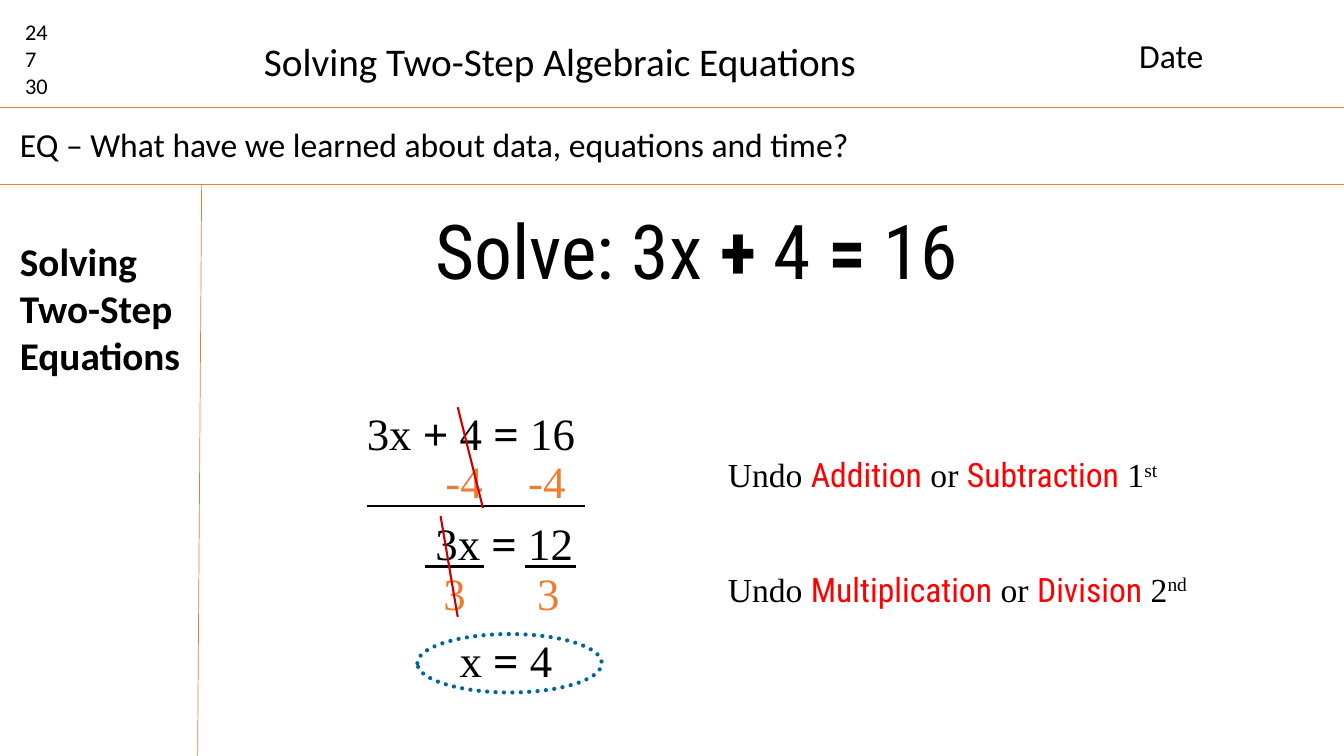
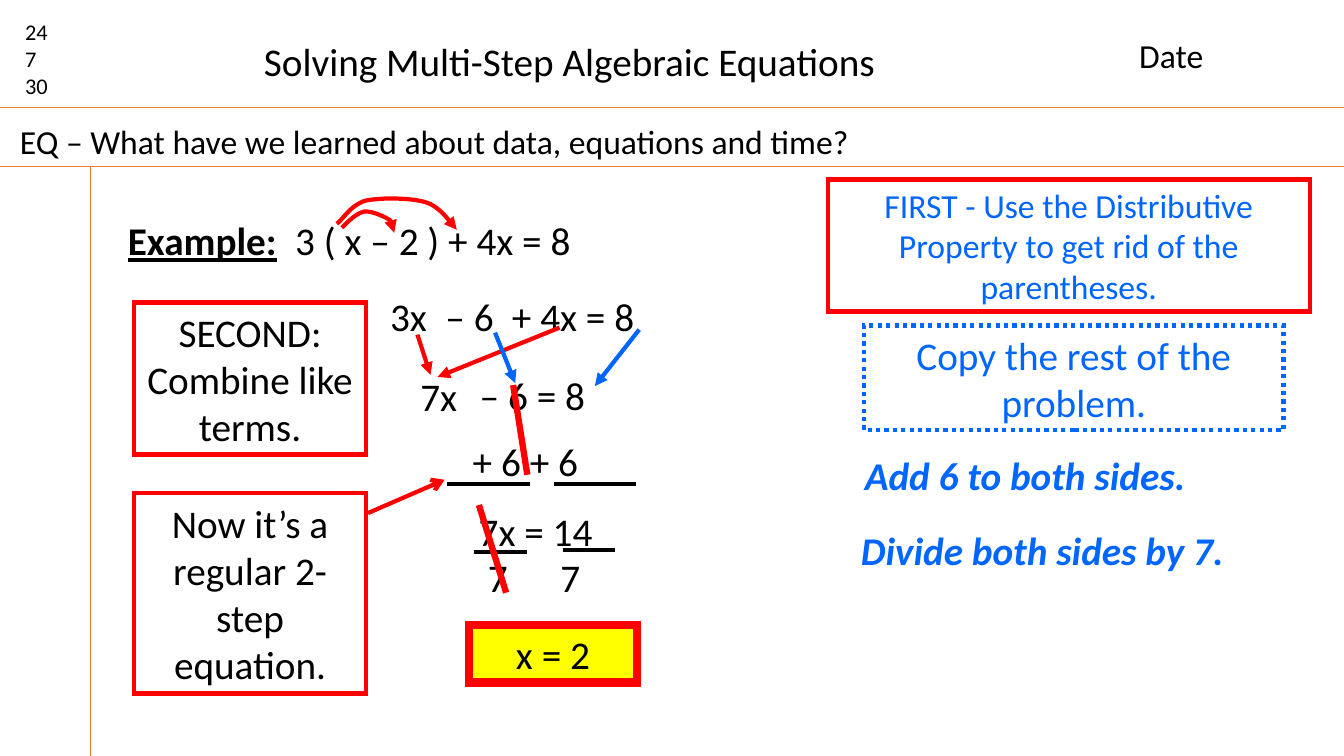
import dataclasses
import typing

import lxml.etree
import pptx
import pptx.dml.color
import pptx.enum.dml
import pptx.enum.shapes
import pptx.enum.text
import pptx.oxml.ns
import pptx.util


@dataclasses.dataclass(frozen=True)
class Theme:
    """Colours, fonts and type sizes of both slides."""
    black: str = "000000"
    orange: str = "ED7D31"
    red: str = "FF0000"
    dark_red: str = "CC0000"
    blue: str = "0066FF"
    teal: str = "006699"
    yellow: str = "FFFF00"
    body_font: str = "Calibri"
    display_font: str = "Roboto Condensed"
    math_font: str = "Times New Roman"
    small: int = 16
    medium: int = 24
    large: int = 28
    math: int = 32
    display: int = 54
    hairline: float = 0.5
    thin: float = 1.5
    thick: float = 3
    strike: float = 4.5
    heavy: float = 6


class Box(typing.NamedTuple):
    """A rectangle in inches."""
    left: float
    top: float
    width: float
    height: float

    def inner(self, left, top, width, height):
        """Return a box placed relative to this one."""
        return Box(self.left + left, self.top + top, width, height)

    def point(self, x, y):
        """Return a point placed relative to this box."""
        return pptx.util.Inches(self.left + x), pptx.util.Inches(self.top + y)

    def lengths(self):
        """Return the four lengths for a new shape."""
        return [pptx.util.Inches(value) for value in self]


THEME = Theme()
RULE = {"color": THEME.orange, "width": THEME.hairline}
BLACK_THIN = {"color": THEME.black, "width": THEME.thin}
BLACK_THICK = {"color": THEME.black, "width": THEME.thick}
CANCEL = {"color": THEME.dark_red, "width": THEME.thin}
STRIKE = {"color": THEME.red, "width": THEME.strike}
RED = {"color": THEME.red, "width": THEME.thick}
BLUE = {"color": THEME.blue, "width": THEME.thick}
RED_ARROW = {**RED, "arrow": "triangle"}
BLUE_ARROW = {**BLUE, "arrow": "triangle"}
MATH = {"name": THEME.math_font, "size": THEME.math}
HINT = {"color": THEME.blue, "bold": True, "italic": True}
CENTER = pptx.enum.text.PP_ALIGN.CENTER


def rgb(color):
    """Turn a hexadecimal colour into a pptx colour."""
    return pptx.dml.color.RGBColor.from_string(color)


def fill_text(shape, paragraphs, alignment=None, **style):
    """Write paragraphs, each a string or a list of (text, format) runs."""
    frame = shape.text_frame
    frame.word_wrap = True
    frame.auto_size = pptx.enum.text.MSO_AUTO_SIZE.SHAPE_TO_FIT_TEXT
    for index, content in enumerate(paragraphs):
        paragraph = frame.add_paragraph() if index else frame.paragraphs[0]
        paragraph.alignment = alignment
        for text, changes in [(content, {})] if isinstance(content, str) else content:
            values = {"name": THEME.body_font, "size": THEME.large, "color": THEME.black, **style, **changes}
            run = paragraph.add_run()
            run.text = text
            run.font.color.rgb = rgb(values.pop("color"))
            values["size"] = pptx.util.Pt(values["size"])
            if "baseline" in values:
                run._r.get_or_add_rPr().set("baseline", values.pop("baseline"))
            for name, value in values.items():
                setattr(run.font, name, value)


def add_text(slide, box, *paragraphs, **style):
    """Add a wrapping text box."""
    fill_text(slide.shapes.add_textbox(*box.lengths()), paragraphs, **style)


def set_line(shape, color, width, dash=None, arrow=None, cap=None, join=None):
    """Format an outline, connector or curve."""
    shape.line.color.rgb = rgb(color)
    shape.line.width = pptx.util.Pt(width)
    if dash:
        shape.line.dash_style = dash
    outline = shape.line._get_or_add_ln()
    if cap:
        outline.set("cap", cap)
    if join:
        lxml.etree.SubElement(outline, pptx.oxml.ns.qn("a:" + join))
    if arrow:
        lxml.etree.SubElement(outline, pptx.oxml.ns.qn("a:tailEnd"), type=arrow)


def add_line(slide, box, start, end, line):
    """Draw a straight line between two points of a box."""
    connector = slide.shapes.add_connector(
        pptx.enum.shapes.MSO_CONNECTOR.STRAIGHT, *box.point(*start), *box.point(*end))
    set_line(connector, **line)
    lxml.etree.SubElement(connector._element.spPr, pptx.oxml.ns.qn("a:effectLst"))


def add_outline(slide, box, kind, line, fill=None):
    """Draw a preset shape with an outline and an optional fill."""
    shape = slide.shapes.add_shape(kind, *box.lengths())
    shape.shadow.inherit = False
    if fill:
        shape.fill.solid()
        shape.fill.fore_color.rgb = rgb(fill)
    else:
        shape.fill.background()
    set_line(shape, **line)
    return shape


def add_callout(slide, box, text, line, fill=None, **style):
    """Draw a framed box with centred text."""
    frame = add_outline(slide, box, pptx.enum.shapes.MSO_SHAPE.RECTANGLE, {**line, "join": "miter"}, fill)
    fill_text(frame, [text], alignment=CENTER, **style)


def add_arc(slide, box, points, line, steps=12):
    """Draw a chain of cubic curves as one open outline."""
    track = []
    for first in range(0, len(points) - 1, 3):
        controls = points[first:first + 4]
        for step in range(1, steps + 1):
            t = step / steps
            weights = ((1 - t) ** 3, 3 * t * (1 - t) ** 2, 3 * t * t * (1 - t), t ** 3)
            track.append(box.point(*(sum(w * p[axis] for w, p in zip(weights, controls)) for axis in (0, 1))))
    builder = slide.shapes.build_freeform(*box.point(*points[0]))
    builder.add_line_segments(track, close=False)
    arc = builder.convert_to_shape()
    arc.shadow.inherit = False
    arc.fill.background()
    set_line(arc, **line)


def equation(text):
    """Split an equation into runs with bold operators."""
    runs = []
    for index, token in enumerate(text.split(" ")):
        if index:
            runs.append((" ", {}))
        runs.append((token, {"bold": token in "+="}))
    return runs


def header_band(slide, box, title):
    """Place the numbers, title and date over a rule."""
    add_line(slide, box, (0, box.height), (box.width, box.height), RULE)
    add_text(slide, box.inner(0.15, 0.13, 0.63, 0.91), "24", "7", "30", size=THEME.small)
    add_text(slide, box.inner(2.52, 0.32, 6.5, 0.57), title)
    add_text(slide, box.inner(11.2, 0.3, 1.73, 0.5), "Date", size=THEME.medium)


def question_band(slide, box):
    """Place the essential question over a rule."""
    add_line(slide, box, (0, box.height), (box.width, box.height), RULE)
    add_text(slide, box.inner(0.1, 0.14 * box.height, 11.6, 0.5),
             "EQ – What have we learned about data, equations and time?", size=THEME.medium)


def notes_frame(slide, title, question_height, margin_top, margin_bottom):
    """Place both bands and the margin rule, and return the margin box."""
    header = Box(0, 0, 13.33, 1.07)
    header_band(slide, header, title)
    question_band(slide, header.inner(0, header.height, header.width, question_height))
    top = header.height + question_height
    margin = Box(0, top, margin_top, 7.5 - top)
    add_line(slide, margin, (margin_top, 0), (margin_bottom, margin.height), RULE)
    return margin


def two_step_solution(slide, box):
    """Work the two-step equation down to its circled answer."""
    add_text(slide, box.inner(0, 0, 2.4, 0.63), equation("3x + 4 = 16"), **MATH)
    add_text(slide, box.inner(0.68, 1.09, 1.6, 0.63), equation("3x = 12"), **MATH)
    add_text(slide, box.inner(0.92, 2.25, 1.6, 0.63), equation("x = 4"), **MATH)
    for left, top, text in ((0.78, 0.47, "-4"), (1.6, 0.47, "-4"), (0.76, 1.58, "3"), (1.69, 1.58, "3")):
        add_text(slide, box.inner(left, top, 0.7, 0.63), text, color=THEME.orange, **MATH)
    for left, right, height in ((0.1, 2.26, 1.04), (0.68, 1.26, 1.64), (1.67, 2.17, 1.64)):
        add_line(slide, box, (left, height), (right, height), BLACK_THIN)
    for left, top, shift in ((1, 0.06, 0.25), (0.83, 1.14, 0.17)):
        add_line(slide, box, (left, top), (left + shift, top + 1), CANCEL)
    add_outline(slide, box.inner(0.6, 2.31, 1.83, 0.58), pptx.enum.shapes.MSO_SHAPE.OVAL,
                {"color": THEME.teal, "width": THEME.thick, "cap": "rnd",
                 "dash": pptx.enum.dml.MSO_LINE.ROUND_DOT})


def undo_rules(slide, box):
    """List which operations to undo first and second."""
    key = {"name": THEME.display_font, "color": THEME.red}
    rules = (("Addition", "Subtraction", "1", "st"), ("Multiplication", "Division", "2", "nd"))
    for index, (one, other, number, ending) in enumerate(rules):
        runs = [("Undo ", {}), (one, key), (" or ", {}), (other, key),
                (" " + number, {}), (ending, {"baseline": "30000"})]
        add_text(slide, box.inner(0, index * 1.14, box.width, 0.5), runs,
                 name=THEME.math_font, size=THEME.medium)


def distribution(slide, box):
    """Place the example with arcs that distribute the factor."""
    add_text(slide, box.inner(0, 0.2, 1.7, 0.57), "Example:", bold=True, underline=True)
    add_text(slide, box.inner(1.66, 0.2, 4, 0.57), "3 ( x – 2 ) + 4x = 8")
    inner_arc = ((2.22, 0.36), (2.29, 0.29), (2.36, 0.22), (2.44, 0.2), (2.52, 0.19),
                 (2.64, 0.25), (2.69, 0.28), (2.74, 0.32), (2.74, 0.36), (2.74, 0.41))
    outer_arc = ((2.17, 0.32), (2.23, 0.28), (2.31, 0.13), (2.46, 0.09), (2.61, 0.06),
                 (2.91, 0.06), (3.06, 0.11), (3.21, 0.16), (3.3, 0.32), (3.36, 0.38))
    for points in (inner_arc, outer_arc):
        add_arc(slide, box, points, RED_ARROW)


def combined_terms(slide, box):
    """Show how like terms combine into a two-step equation."""
    for left, top, text in ((0, 0, "3x"), (0.55, 0, "– 6"), (1.21, 0, "+ 4x = 8"),
                            (0.3, 0.79, "7x"), (0.89, 0.78, "– 6 = 8")):
        add_text(slide, box.inner(left, top, 2, 0.57), text)
    for start, end, line in (((0.37, 0.47), (0.5, 0.87), RED_ARROW),
                             ((1.78, 0.4), (0.57, 0.89), RED_ARROW),
                             ((1.14, 0.45), (1.34, 0.95), BLUE_ARROW),
                             ((2.57, 0.42), (2.13, 0.98), BLUE_ARROW)):
        add_line(slide, box, start, end, line)


def final_steps(slide, box):
    """Add, divide and frame the answer."""
    for left, top, text in ((0.16, 0.47, "+ 6 + 6"), (0.22, 1.16, "7x = 14"),
                            (0.31, 1.62, "7"), (1.03, 1.62, "7")):
        add_text(slide, box.inner(left, top, 1.74, 0.57), text)
    for left, right, height in ((0, 0.83, 0.98), (1.06, 1.88, 0.98), (0.27, 0.8, 1.66), (1.15, 1.67, 1.64)):
        add_line(slide, box, (left, height), (right, height), BLACK_THICK)
    for start, end in (((0.66, 0), (0.8, 0.89)), ((0.32, 1.19), (0.59, 2.06))):
        add_line(slide, box, start, end, STRIKE)
    add_callout(slide, box.inner(0.22, 2.38, 1.67, 0.57), "x = 2",
                {"color": THEME.red, "width": THEME.heavy}, THEME.yellow)


def left_callouts(slide, box):
    """Place the second step and the reminder that points to the work."""
    add_callout(slide, box.inner(0, 0, box.width, 1.51), "SECOND: Combine like terms.", RED)
    add_callout(slide, box.inner(0, 1.89, box.width, 1.99), "Now it’s a regular 2-step equation.", RED)
    add_line(slide, box, (2.32, 2.09), (3.08, 1.76), {**RED, "arrow": "arrow"})


def right_hints(slide, box):
    """Place the first step and the hints below it."""
    add_callout(slide, box.inner(0, 0, box.width, 1.31),
                "FIRST - Use the Distributive Property to get rid of the parentheses.",
                RED, size=THEME.medium, color=THEME.blue)
    add_callout(slide, box.inner(0.36, 1.45, 4.16, 1.04), "Copy the rest of the problem.",
                {**BLUE, "dash": pptx.enum.dml.MSO_LINE.ROUND_DOT}, color=THEME.blue)
    add_text(slide, box.inner(0.27, 2.65, 4.23, 0.57), "Add 6 to both sides.", **HINT)
    add_text(slide, box.inner(0.23, 3.39, 4.49, 0.57), "Divide both sides by 7.", **HINT)


def two_step_slide(slide):
    """Build the two-step equation slide."""
    margin = notes_frame(slide, "Solving Two-Step Algebraic Equations", 0.76, 2, 1.96)
    add_text(slide, margin.inner(0.1, 0.47, 1.86, 1.51), "Solving Two-Step", "Equations", bold=True)
    add_text(slide, Box(4.22, 1.97, 5.57, 1.01), equation("Solve: 3x + 4 = 16"),
             name=THEME.display_font, size=THEME.display)
    two_step_solution(slide, Box(3.54, 3.98, 2.5, 2.9))
    undo_rules(slide, Box(7.12, 4.45, 5.36, 1.64))


def multi_step_slide(slide):
    """Build the multi-step equation slide."""
    notes_frame(slide, "Solving Multi-Step Algebraic Equations", 0.58, 0.9, 0.9)
    distribution(slide, Box(1.17, 1.9, 6, 0.77))
    combined_terms(slide, Box(3.77, 2.85, 3.4, 1.36))
    final_steps(slide, Box(4.43, 3.82, 1.9, 2.95))
    left_callouts(slide, Box(1.33, 3, 2.3, 3.88))
    right_hints(slide, Box(8.21, 1.78, 4.78, 3.96))


def main():
    """Build and save the presentation."""
    presentation = pptx.Presentation()
    presentation.slide_width = pptx.util.Inches(13.33)
    presentation.slide_height = pptx.util.Inches(7.5)
    for build in (two_step_slide, multi_step_slide):
        build(presentation.slides.add_slide(presentation.slide_layouts[6]))
    presentation.save("out.pptx")


if __name__ == "__main__":
    main()
